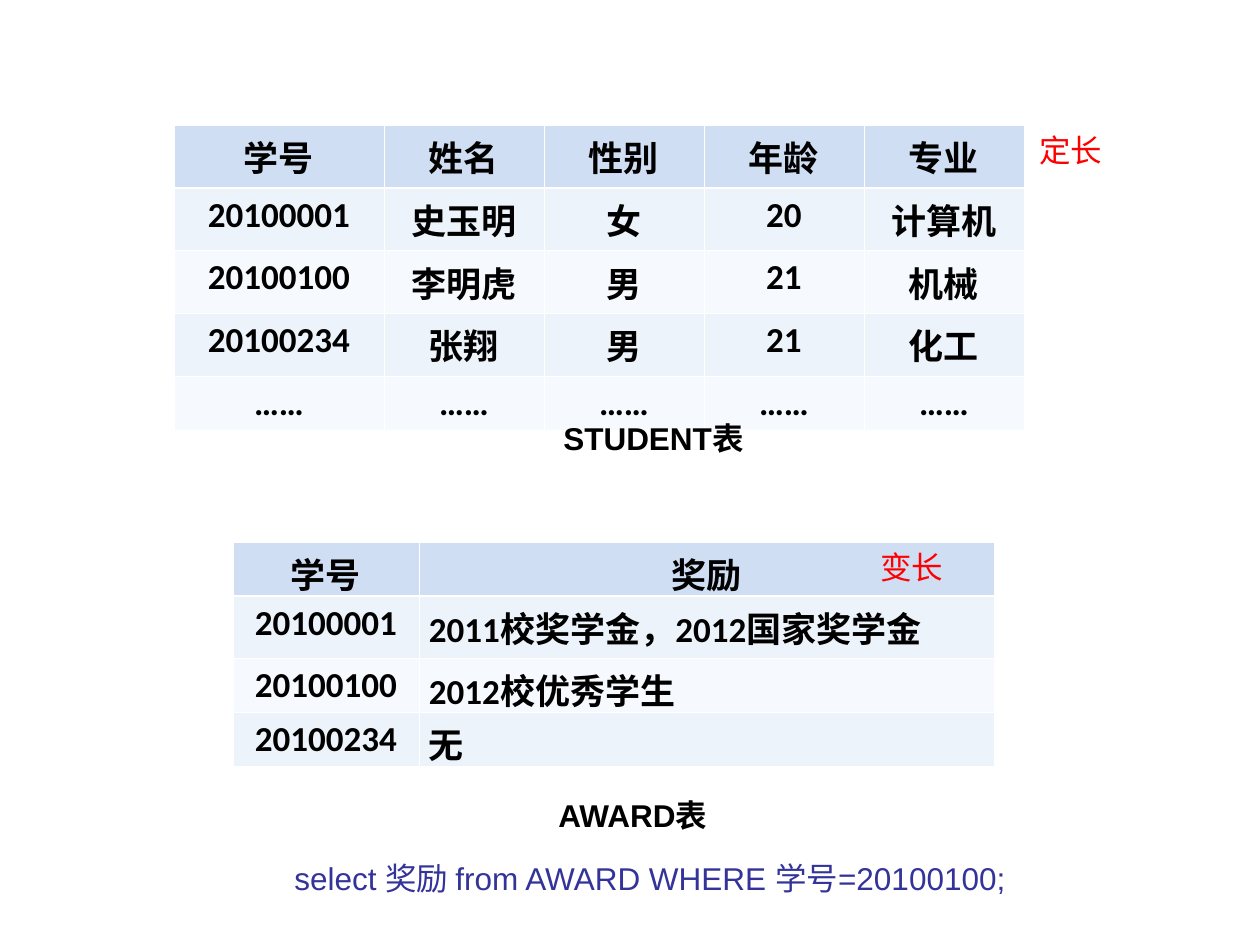
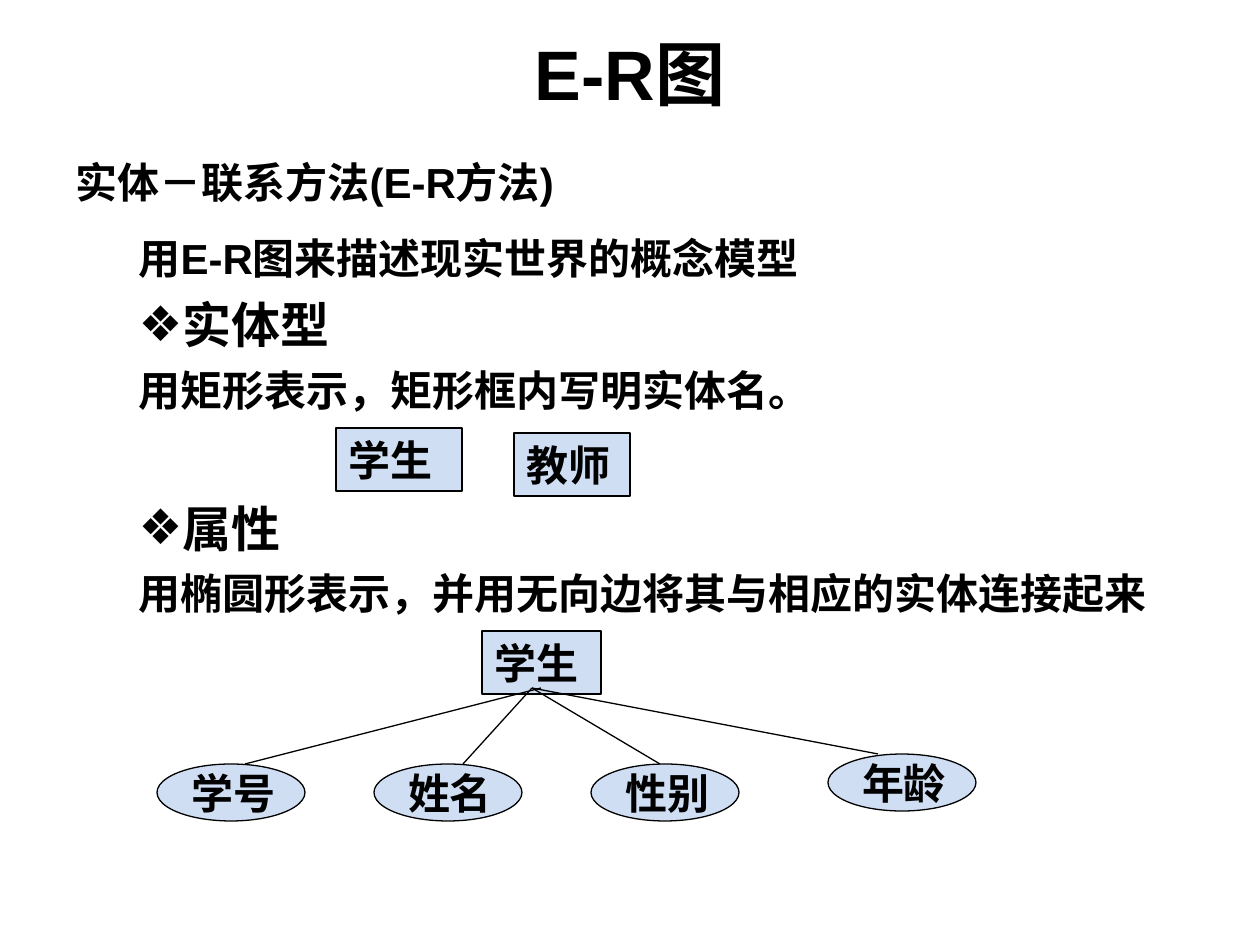
from lxml import etree
from pptx import Presentation
from pptx.dml.color import RGBColor
from pptx.enum.shapes import MSO_CONNECTOR, MSO_SHAPE
from pptx.enum.text import MSO_ANCHOR, MSO_AUTO_SIZE, PP_ALIGN
from pptx.oxml.ns import qn
from pptx.util import Pt

LEFT, CENTER, JUSTIFY = PP_ALIGN.LEFT, PP_ALIGN.CENTER, PP_ALIGN.JUSTIFY
TOP, MIDDLE = MSO_ANCHOR.TOP, MSO_ANCHOR.MIDDLE
NO_AUTOFIT = MSO_AUTO_SIZE.NONE
STRAIGHT = MSO_CONNECTOR.STRAIGHT
RECTANGLE, OVAL = MSO_SHAPE.RECTANGLE, MSO_SHAPE.OVAL

BLACK = RGBColor(0x00, 0x00, 0x00)
WHITE = RGBColor(0xFF, 0xFF, 0xFF)
RED = RGBColor(0xFF, 0x00, 0x00)
INDIGO = RGBColor(0x33, 0x33, 0x99)
PALE_BLUE = RGBColor(0xCF, 0xDE, 0xF3)
ROW_FILLS = (RGBColor(0xF6, 0xF9, 0xFD), RGBColor(0xED, 0xF3, 0xFA))

BODY_FONT, TABLE_FONT = "Arial", "Calibri"
THIN, THICK = 0.45, 1.47
LEVEL_INDENT = 63
BULLET_HANG = 44


def px(length):
    """126 px to the inch."""
    return round(length * 914400 / 126)


def box_px(*lengths):
    return [px(length) for length in lengths]


def style(paragraph, size, color=BLACK, bold=True, font=BODY_FONT, align=LEFT):
    paragraph.alignment = align
    paragraph.font.size = Pt(size)
    paragraph.font.name = font
    paragraph.font.bold = bold
    paragraph.font.color.rgb = color


def set_indent(paragraph, margin, bullet=None):
    properties = paragraph._p.get_or_add_pPr()
    hang = BULLET_HANG if bullet else 0
    properties.set("marL", str(px(margin + hang)))
    properties.set("indent", str(-px(hang)))
    if bullet:
        etree.SubElement(properties, qn("a:buFont"), typeface=BODY_FONT)
        etree.SubElement(properties, qn("a:buChar"), char=bullet)
    else:
        etree.SubElement(properties, qn("a:buNone"))


def add_label(slide, box, text, color=BLACK, bold=False, wrap=True, indent=0):
    frame = slide.shapes.add_textbox(*box_px(*box)).text_frame
    frame.word_wrap = wrap
    label = frame.paragraphs[0]
    label.text = text
    set_indent(label, indent)
    style(label, 18, color, bold)


# Tables
def border_cell(cell, top, bottom):
    properties = cell._tc.get_or_add_tcPr()
    for side, width in (("L", THIN), ("R", THIN), ("T", top), ("B", bottom)):
        line = etree.SubElement(properties, qn(f"a:ln{side}"), w=str(Pt(width)))
        fill = etree.SubElement(line, qn("a:solidFill"))
        etree.SubElement(fill, qn("a:srgbClr"), val=str(WHITE))


def add_records(slide, left, top, widths, heights, records, aligns):
    frame = slide.shapes.add_table(
        len(records), len(widths),
        *box_px(left, top, sum(widths), sum(heights)))
    table = frame.table
    table.first_row = table.horz_banding = False
    for column, width in zip(table.columns, widths):
        column.width = px(width)
    for r, (record, height) in enumerate(zip(records, heights)):
        table.rows[r].height = px(height)
        for c, value in enumerate(record):
            cell = table.cell(r, c)
            cell.margin_left = cell.margin_right = px(10)
            cell.margin_top = cell.margin_bottom = px(6)
            border_cell(cell, THICK if r == 1 else THIN,
                        THICK if r == 0 else THIN)
            cell.fill.solid()
            cell.fill.fore_color.rgb = ROW_FILLS[r % 2] if r else PALE_BLUE
            cell.text = value
            style(cell.text_frame.paragraphs[0], 20, font=TABLE_FONT,
                  align=aligns[c] if r else CENTER)


def build_tables_slide(prs):
    slide = prs.slides.add_slide(prs.slide_layouts[6])

    # Fixed-length records
    students = [
        ("学号", "姓名", "性别", "年龄", "专业"),
        ("20100001", "史玉明", "女", "20", "计算机"),
        ("20100100", "李明虎", "男", "21", "机械"),
        ("20100234", "张翔", "男", "21", "化工"),
        ("……",) * 5,
    ]
    add_records(slide, 174, 125, [210] + [160] * 4, [52] * 5,
                students, [CENTER] * 5)
    add_label(slide, (488, 413, 276, 50), "STUDENT表", bold=True,
              wrap=False, indent=LEVEL_INDENT)

    # Variable-length records
    awards = [
        ("学号", "奖励"),
        ("20100001", "2011校奖学金，2012国家奖学金"),
        ("20100100", "2012校优秀学生"),
        ("20100234", "无"),
    ]
    add_records(slide, 233, 542, [186, 575], [54, 62, 54, 54],
                awards, [CENTER, JUSTIFY])
    add_label(slide, (546, 790, 185, 50), "AWARD表", bold=True, wrap=False)

    # Notes on record length, and the query
    add_label(slide, (1027, 125, 126, 54), "定长", RED)
    add_label(slide, (868, 542, 126, 54), "变长", RED)
    add_label(slide, (282, 853, 755, 60),
              "select 奖励 from AWARD WHERE 学号=20100100;", INDIGO)


# E-R diagram
def add_node(shapes, kind, box, name):
    node = shapes.add_shape(kind, *box_px(*box))
    node.shadow.inherit = False
    node.fill.solid()
    node.fill.fore_color.rgb = PALE_BLUE
    node.line.color.rgb = BLACK
    node.line.width = Pt(0.75)
    frame = node.text_frame
    frame.word_wrap = kind == RECTANGLE
    frame.vertical_anchor = TOP if kind == RECTANGLE else MIDDLE
    frame.text = name
    style(frame.paragraphs[0], 24)


def add_edge(shapes, start, end):
    edge = shapes.add_connector(STRAIGHT, *box_px(*start, *end))
    edge.line.color.rgb = BLACK
    edge.line.width = Pt(0.75)
    etree.SubElement(edge._element.spPr, qn("a:effectLst"))


def add_entity_diagram(slide, left, top):
    shapes = slide.shapes.add_group_shape().shapes
    add_node(shapes, RECTANGLE, (left + 325, top, 119, 63), "学生")
    # name, node left, node top, edge start x, edge end x
    attributes = [
        ("学号", 0, 133, 384, 88),
        ("姓名", 217, 133, 375, 306),
        ("性别", 434, 133, 375, 503),
        ("年龄", 671, 123, 375, 721),
    ]
    for name, x, y, start_x, end_x in attributes:
        add_node(shapes, OVAL, (left + x, top + y, 148, 57), name)
        add_edge(shapes, (left + start_x, top + 57), (left + end_x, top + y))


def fill_body(body):
    body.left, body.top, body.width, body.height = box_px(63, 125, 1134, 659)
    frame = body.text_frame
    frame.auto_size = NO_AUTOFIT
    # text, size, level, bullet, line spacing, space before
    lines = [
        ("实体－联系方法(E-R方法)", 24, 0, None, 1.5, 0),
        ("用E-R图来描述现实世界的概念模型", 24, 1, None, 1.5, 0),
        ("实体型", 28, 1, "❖", 1.0, 7),
        ("用矩形表示，矩形框内写明实体名。", 24, 1, None, 1.0, 6),
        ("属性", 28, 1, "❖", 1.0, 48),
        ("用椭圆形表示，并用无向边将其与相应的实体连接起来", 24, 1, None, 1.0, 6),
    ]
    frame.text = "\n".join(line[0] for line in lines)
    for paragraph, line in zip(frame.paragraphs, lines):
        _, size, level, bullet, spacing, before = line
        paragraph.level = level
        set_indent(paragraph, level * LEVEL_INDENT, bullet)
        paragraph.line_spacing = spacing
        paragraph.space_before = Pt(before)
        style(paragraph, size)


def build_er_slide(prs):
    slide = prs.slides.add_slide(prs.slide_layouts[1])
    title = slide.shapes.title
    title.left, title.top, title.width, title.height = box_px(63, -5, 1134, 156)
    title.text_frame.text = "E-R图"
    title.text_frame.vertical_anchor = MIDDLE
    style(title.text_frame.paragraphs[0], 40, align=CENTER)
    fill_body(slide.placeholders[1])

    # Sample entities, then one entity with its attributes
    add_node(slide.shapes, RECTANGLE, (336, 428, 126, 63), "学生")
    add_node(slide.shapes, RECTANGLE, (514, 433, 116, 63), "教师")
    add_entity_diagram(slide, 157, 631)


def main():
    prs = Presentation()
    prs.slide_width, prs.slide_height = box_px(1260, 945)
    build_tables_slide(prs)
    build_er_slide(prs)
    prs.save("out.pptx")


if __name__ == "__main__":
    main()
